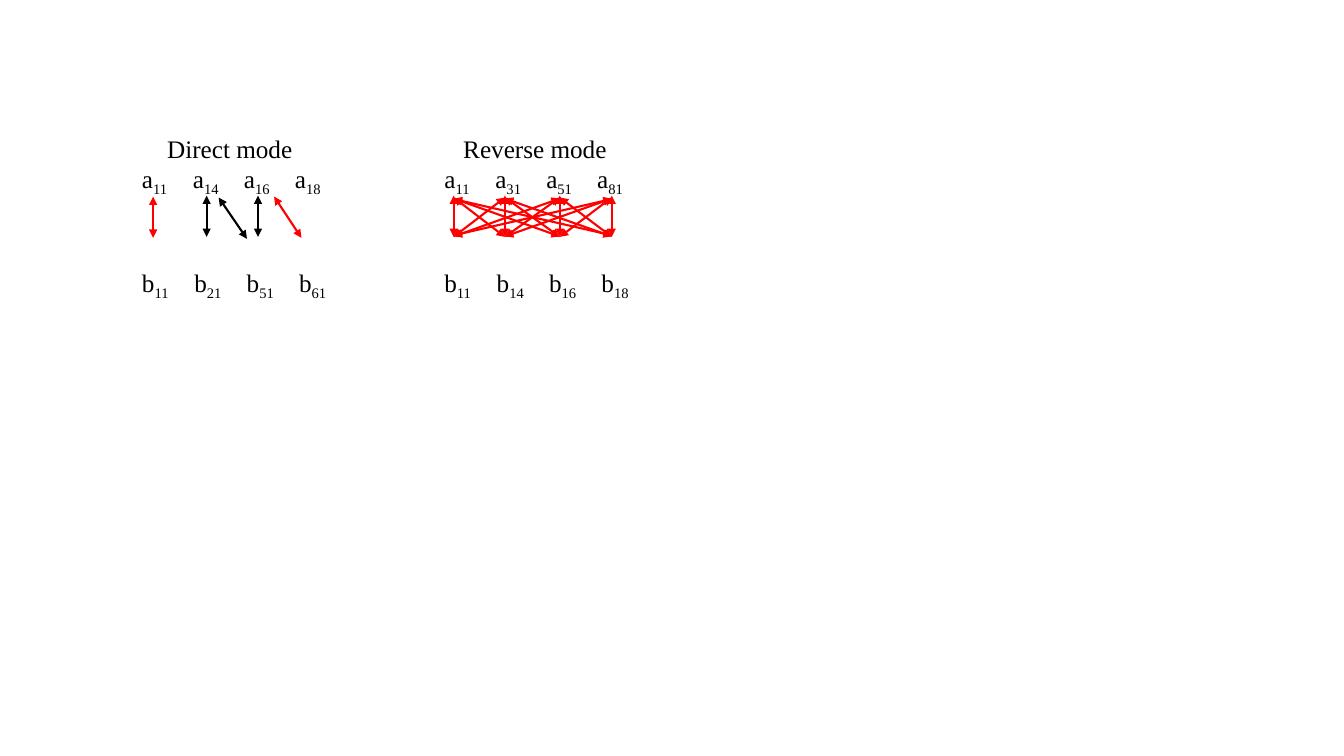
from dataclasses import dataclass

from lxml import etree
from pptx import Presentation
from pptx.dml.color import RGBColor
from pptx.enum.shapes import MSO_CONNECTOR
from pptx.oxml.ns import qn
from pptx.util import Pt

STRAIGHT = MSO_CONNECTOR.STRAIGHT


@dataclass(frozen=True)
class Theme:
    font: str = "Times New Roman"
    text_size: float = 18
    line_width: float = 1.5
    black: RGBColor = RGBColor(0, 0, 0)
    red: RGBColor = RGBColor(255, 0, 0)


THEME = Theme()

# Headings and their tab positions
HEADINGS = ["Direct mode", "Reverse mode"]
HEADING_STOPS = [18, 229.5]

# Letter, subscripts of both modes, column pitch, space before the row
LABEL_ROWS = [
    ("a", ["11", "14", "16", "18"], ["11", "31", "51", "81"], 36.4, 0),
    ("b", ["11", "21", "51", "61"], ["11", "14", "16", "18"], 37.4, 50),
]
REVERSE_START = 216
TEXT_BOX = (94.3, 91.4, 373.7, 105.1)

# Colour, start x, start y, end x, end y
DIRECT_ARROWS = [
    (THEME.red, 109.4, 140.4, 109.4, 169.9),
    (THEME.red, 195.8, 140.4, 215.3, 169.9),
    (THEME.black, 147.6, 139.7, 147.6, 169.2),
    (THEME.black, 156.2, 141.1, 176.4, 170.6),
    (THEME.black, 184.3, 139.7, 184.3, 169.2),
]

# Every upper node is joined to every lower node; the ends depend on
# how many columns the arrow crosses
REVERSE_NODES = [324, 360.7, 399.9, 437]
REVERSE_ENDS = [(139.7, 169.2), (141.1, 169.2), (141.8, 168.9), (142.2, 168.1)]


def add_run(paragraph, text, subscript=False):
    run = paragraph.add_run()
    run.text = text
    run.font.name = THEME.font
    run.font.size = Pt(THEME.text_size)
    run.font.color.rgb = THEME.black
    if subscript:
        run.font._element.set("baseline", "-25000")


def set_tab_stops(paragraph, stops):
    properties = paragraph._p.get_or_add_pPr()
    tab_list = etree.SubElement(properties, qn("a:tabLst"))
    for stop in stops:
        etree.SubElement(tab_list, qn("a:tab"), pos=str(Pt(stop)), algn="l")


def add_labels(slide):
    text_box = slide.shapes.add_textbox(*map(Pt, TEXT_BOX))
    text_frame = text_box.text_frame
    text_frame.word_wrap = True

    heading = text_frame.paragraphs[0]
    set_tab_stops(heading, HEADING_STOPS)
    for title in HEADINGS:
        add_run(heading, "\t" + title)

    for letter, direct, reverse, pitch, space_before in LABEL_ROWS:
        paragraph = text_frame.add_paragraph()
        paragraph.space_before = Pt(space_before)
        columns = [start + pitch * column
                   for start in (0, REVERSE_START)
                   for column in range(len(direct))]
        set_tab_stops(paragraph, columns[1:])
        for position, index in enumerate(direct + reverse):
            add_run(paragraph, "\t" + letter if position else letter)
            add_run(paragraph, index, subscript=True)


def add_double_arrow(slide, color, *ends):
    arrow = slide.shapes.add_connector(STRAIGHT, *map(Pt, ends))
    arrow.line.color.rgb = color
    arrow.line.width = Pt(THEME.line_width)
    line = arrow.line._get_or_add_ln()
    for end in ("a:headEnd", "a:tailEnd"):
        etree.SubElement(line, qn(end), type="triangle")
    etree.SubElement(arrow._element.spPr, qn("a:effectLst"))


def main():
    presentation = Presentation()
    presentation.slide_width = Pt(960)
    presentation.slide_height = Pt(540)
    slide = presentation.slides.add_slide(presentation.slide_layouts[6])

    add_labels(slide)
    for color, *ends in DIRECT_ARROWS:
        add_double_arrow(slide, color, *ends)
    for upper, upper_x in enumerate(REVERSE_NODES):
        for lower, lower_x in enumerate(REVERSE_NODES):
            top, bottom = REVERSE_ENDS[abs(upper - lower)]
            add_double_arrow(slide, THEME.red, upper_x, top, lower_x, bottom)

    presentation.save("out.pptx")


if __name__ == "__main__":
    main()
